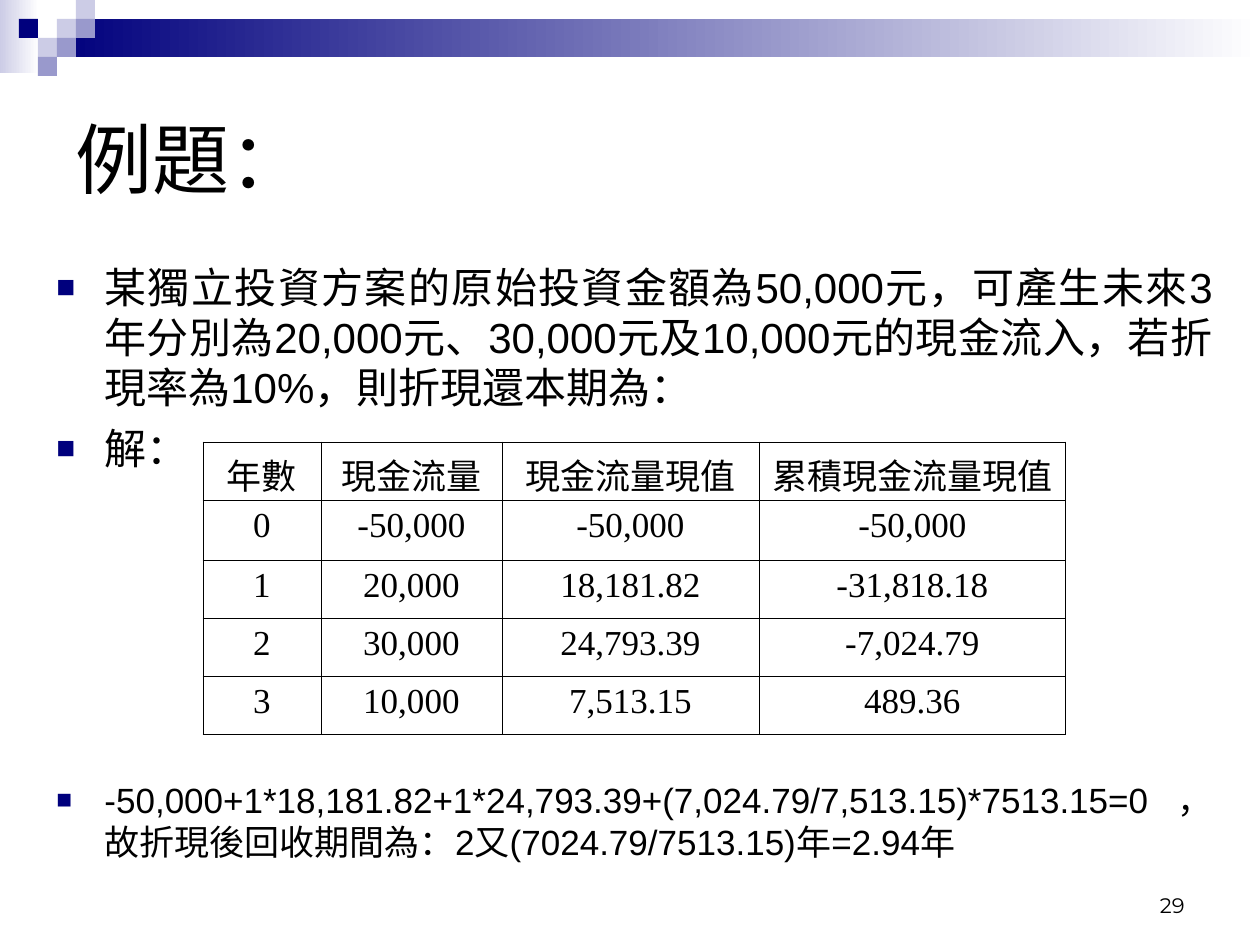
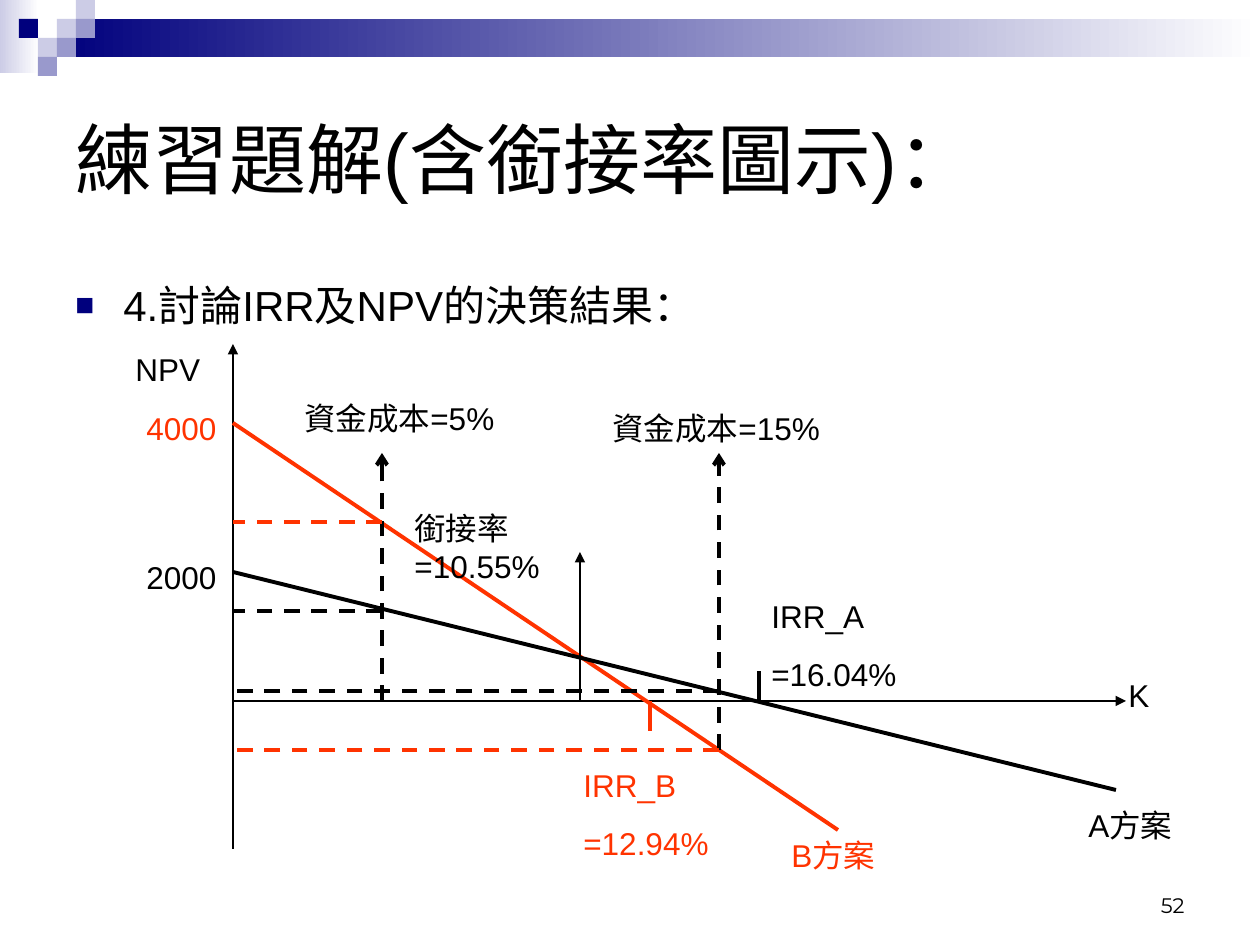
from lxml import etree
from pptx import Presentation
from pptx import util as u
from pptx.dml.color import RGBColor
from pptx.enum import dml, shapes, text
from pptx.oxml import ns

PX = 914400 // 126
NAVY, LILAC, PALE = "00007D", "9999CC", "CCCCE6"
BLACK, RED, WHITE = "000000", "FF3300", "FFFFFF"

CELL = 19
FADES = [((0, 0, 39, 73), PALE), ((57, 19, 1203, 38), NAVY)]
CHECKS = [(3, 1, PALE), (4, 0, PALE), (4, 1, LILAC), (2, 2, PALE),
          (1, 1, NAVY), (3, 2, LILAC), (2, 3, LILAC)]
TITLE_BOX = (63, 63, 1134, 189)
NUMBER_BOX = (903, 861, 294, 63)

EXAMPLE = {
    "title": "例題：",
    "number": "29",
    "bullets": [
        (["某獨立投資方案的原始投資金額為50,000元，可產生未來3年分別為20,000元、30,000元及10,000元的現金流入，若折現率為10%，則折現還本期為：",
          "解："], (44, 255, 1181, 230), {"size": 24, "align": "JUSTIFY"}),
        (["-50,000+1*18,181.82+1*24,793.39+(7,024.79/7,513.15)*7513.15=0，故折現後回收期間為：2又(7024.79/7513.15)年=2.94年"],
         (44, 772, 1181, 100), {"size": 20, "align": "JUSTIFY"}),
    ],
}
CASH_FLOWS = [
    ("年數", "現金流量", "現金流量現值", "累積現金流量現值"),
    ("0", "-50,000", "-50,000", "-50,000"),
    ("1", "20,000", "18,181.82", "-31,818.18"),
    ("2", "30,000", "24,793.39", "-7,024.79"),
    ("3", "10,000", "7,513.15", "489.36"),
]
CASH_AT = (203, 442)
CASH_COLUMNS = [118, 181, 257, 307]
CASH_ROWS = [58, 60, 58, 58, 58]

EXERCISE = {
    "title": "練習題解(含銜接率圖示)：",
    "number": "52",
    "bullets": [(["4.討論IRR及NPV的決策結果："], (63, 273, 1172, 80), {"size": 24})],
}
NPV_AXIS, K_AXIS = 233, 701
CROSSOVER, IRR_A, IRR_B = 580, 759, 650
LOW_COST, HIGH_COST, COST_TOP = 382, 719, 453
LOW_NPV = [(522, RED), (611, BLACK)]
HIGH_NPV = [(691, BLACK), (750, RED)]
TICK = 30
AXIS = {"weight": 0.75, "head": "triangle"}
DASH = {"dashed": True}

GRAPH = [
    ((NPV_AXIS, 849), (NPV_AXIS, 344), BLACK, AXIS),
    ((NPV_AXIS, K_AXIS), (1126, K_AXIS), BLACK, AXIS),
    ((NPV_AXIS, 423), (838, 830), RED, {}),
    ((NPV_AXIS, 572), (1116, 790), BLACK, {}),
    ((IRR_A, K_AXIS), (IRR_A, K_AXIS - TICK), BLACK, {}),
    ((IRR_B, K_AXIS), (IRR_B, K_AXIS + TICK), RED, {}),
    ((CROSSOVER, K_AXIS), (CROSSOVER, 552), BLACK, AXIS),
]
for cost, foot, levels in [(LOW_COST, K_AXIS, LOW_NPV), (HIGH_COST, 750, HIGH_NPV)]:
    GRAPH.append(((cost, foot), (cost, COST_TOP), BLACK, {"dashed": True, "head": "arrow"}))
    GRAPH += [((cost, level), (NPV_AXIS, level), ink, DASH) for level, ink in levels]

LABELS = [
    (["NPV"], (123, 344, 100, 50), BLACK),
    (["K"], (1116, 670, 59, 50), BLACK),
    (["A方案"], (1076, 800, 129, 50), BLACK),
    (["B方案"], (779, 830, 149, 50), RED),
    (["IRR_A", "=16.04%"], (759, 591, 189, 108), BLACK),
    (["IRR_B", "=12.94%"], (571, 760, 159, 108), RED),
    (["銜接率=10.55%"], (402, 503, 244, 88), BLACK),
    (["資金成本=5%"], (292, 393, 258, 50), BLACK),
    (["資金成本=15%"], (600, 403, 258, 50), BLACK),
    (["2000"], (134, 552, 110, 50), BLACK),
    (["4000"], (134, 403, 110, 50), RED),
]


def emu(lengths):
    return [u.Emu(length * PX) for length in lengths]


def rgb(code):
    return RGBColor.from_string(code)


def child(parent, tag, **attributes):
    return etree.SubElement(parent, ns.qn(tag), attributes)


def add_bullet(paragraph):
    props = paragraph._p.get_or_add_pPr()
    indent = 48 * PX
    props.set("marL", str(indent))
    props.set("indent", str(-indent))
    child(child(props, "a:buClr"), "a:srgbClr", val=NAVY)
    child(props, "a:buSzPct", val="75000")
    child(props, "a:buFont", typeface="Arial")
    child(props, "a:buChar", char="■")


def write(frame, lines, size=18, font="Arial", color=BLACK, align="LEFT",
          anchor="TOP", gap=0, bullet=False):
    frame.word_wrap = True
    frame.vertical_anchor = getattr(text.MSO_ANCHOR, anchor)
    for i, line in enumerate(lines):
        paragraph = frame.add_paragraph() if i else frame.paragraphs[0]
        if bullet:
            add_bullet(paragraph)
        paragraph.alignment = getattr(text.PP_ALIGN, align)
        if i:
            paragraph.space_before = u.Pt(gap)
        run = paragraph.add_run()
        run.text = line
        run.font.size = u.Pt(size)
        run.font.name = font
        run.font.color.rgb = rgb(color)


def add_text(slide, lines, box, **style):
    write(slide.shapes.add_textbox(*emu(box)).text_frame, lines, **style)


def add_block(slide, box, color, fade=False):
    block = slide.shapes.add_shape(shapes.MSO_SHAPE.RECTANGLE, *emu(box))
    block.shadow.inherit = False
    block.line.fill.background()
    if fade:
        block.fill.gradient()
        block.fill.gradient_angle = 0
        for stop, tint in zip(block.fill.gradient_stops, (color, WHITE)):
            stop.color.rgb = rgb(tint)
    else:
        block.fill.solid()
        block.fill.fore_color.rgb = rgb(color)


def add_line(slide, start, end, color, weight=2.25, dashed=False, head=None):
    line = slide.shapes.add_connector(shapes.MSO_CONNECTOR.STRAIGHT, *emu(start + end))
    line.line.width = u.Pt(weight)
    line.line.color.rgb = rgb(color)
    if dashed:
        line.line.dash_style = dml.MSO_LINE.DASH
    if head:
        child(line.line._get_or_add_ln(), "a:tailEnd", type=head)
    child(line._element.spPr, "a:effectLst")


def add_borders(cell):
    props = cell._tc.get_or_add_tcPr()
    for side in ("a:lnL", "a:lnR", "a:lnT", "a:lnB"):
        edge = child(props, side, w=str(u.Pt(0.45)))
        child(child(edge, "a:solidFill"), "a:srgbClr", val=BLACK)


def add_cash_table(slide):
    size = (sum(CASH_COLUMNS), sum(CASH_ROWS))
    table = slide.shapes.add_table(len(CASH_ROWS), len(CASH_COLUMNS),
                                   *emu(CASH_AT + size)).table
    table.first_row = table.horz_banding = False
    for column, width in zip(table.columns, emu(CASH_COLUMNS)):
        column.width = width
    for row, height, values in zip(table.rows, emu(CASH_ROWS), CASH_FLOWS):
        row.height = height
        for cell, value in zip(row.cells, values):
            add_borders(cell)
            cell.fill.background()
            write(cell.text_frame, [value], size=20, font="Times New Roman", align="CENTER")


def add_slide(deck, content):
    slide = deck.slides.add_slide(deck.slide_layouts[6])
    for box, color in FADES:
        add_block(slide, box, color, fade=True)
    for column, row, color in CHECKS:
        add_block(slide, (column * CELL, row * CELL, CELL, CELL), color)
    add_text(slide, [content["number"]], NUMBER_BOX, size=12, font="Montserrat",
             align="RIGHT", anchor="BOTTOM")
    add_text(slide, [content["title"]], TITLE_BOX, size=44, anchor="MIDDLE")
    for lines, box, style in content["bullets"]:
        add_text(slide, lines, box, gap=6, bullet=True, **style)
    return slide


def main():
    deck = Presentation()
    deck.slide_width, deck.slide_height = emu((1260, 945))
    add_cash_table(add_slide(deck, EXAMPLE))
    exercise = add_slide(deck, EXERCISE)
    for start, end, color, style in GRAPH:
        add_line(exercise, start, end, color, **style)
    for lines, box, color in LABELS:
        add_text(exercise, lines, box, color=color, gap=11.2)
    deck.save("out.pptx")


if __name__ == "__main__":
    main()
